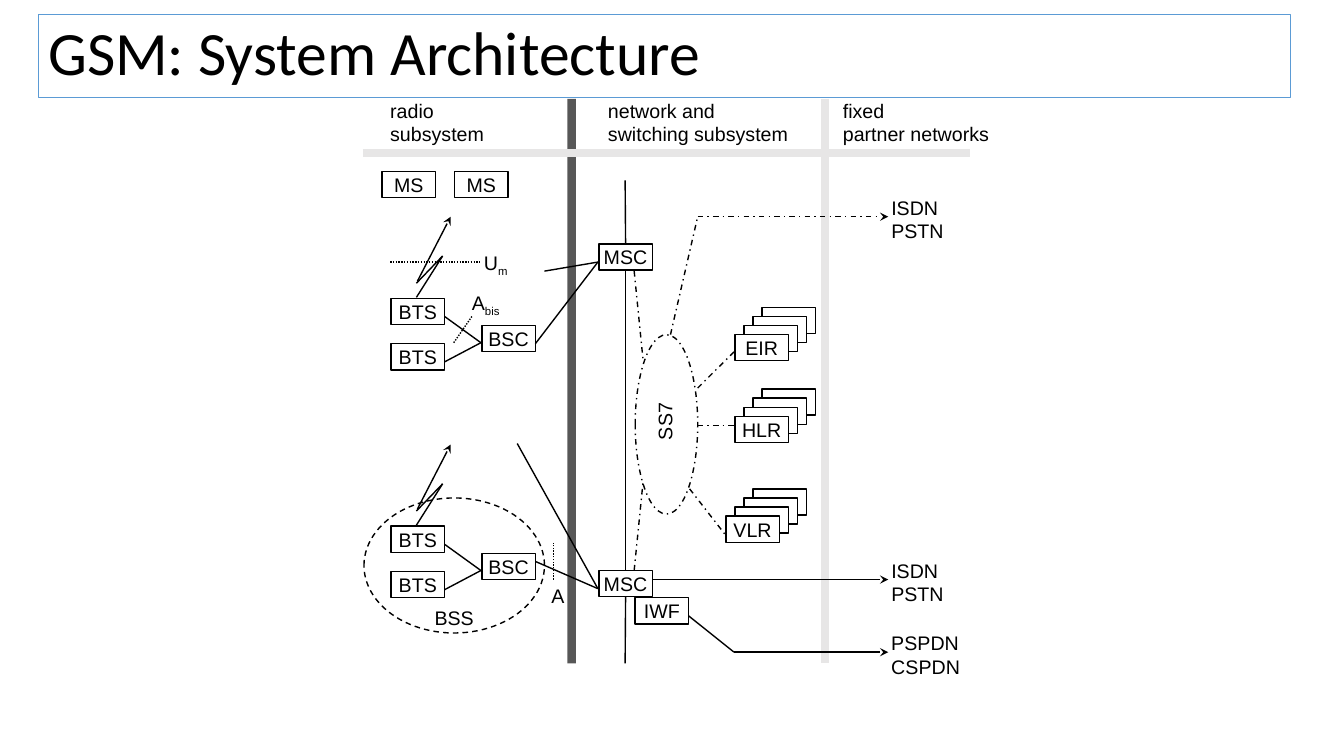
from lxml.etree import SubElement as Sub
from pptx import Presentation
from pptx.dml.color import RGBColor
from pptx.enum.dml import MSO_LINE as Dash
from pptx.enum.shapes import MSO_CONNECTOR as Link, MSO_SHAPE as Kind
from pptx.enum.text import MSO_ANCHOR as Anchor, MSO_AUTO_SIZE as Auto, PP_ALIGN as Align
from pptx.oxml.ns import qn
from pptx.util import Pt

PX = 9144
BLACK, GREY, WHITE, BLUE = "000000", "E7E6E6", "FFFFFF", "5B9BD5"
DOT, MIX = Dash.ROUND_DOT, Dash.DASH_DOT
BOX_W, BOX_H, STEP = 53, 26, 9

TITLE = ("GSM: System Architecture", 38, 14, 1242, 83)
LABELS = [
    ("radio\vsubsystem", 376, 92, 141, 58),
    ("network and switching subsystem", 592, 92, 208, 58),
    ("fixed\vpartner networks", 825, 92, 177, 58),
    ("A", 536, 573, 39, 35),
    ("BSS", 420, 595, 63, 35),
    ("ISDN\vPSTN", 873, 188, 79, 58),
    ("ISDN\vPSTN", 873, 548, 88, 58),
    ("PSPDN\vCSPDN", 873, 620, 97, 58),
]
SUBS = [("U", "m", 469, 243, 70, 35), ("A", "bis", 457, 283, 70, 35)]
SS7 = ("SS7", 623, 394, 72, 35)
BARS = [(360, 152, 738, 152), (818, 98, 818, 658), (584, 152, 962, 152)]
PHONES = [("MS", 379, 170), ("MS", 451, 170)]
CELL_TOPS = [296, 522]
CELL = [("BTS", 388, 0), ("BTS", 388, 45), ("BSC", 478, 27)]
CELL_LINES = [(441, 18, 477, 44), (441, 63, 477, 44),
              (413, -1, 439, -42), (439, -42, 413, -15)]
SIGNAL = (414, -17, 447, -81)
STACKS = [("EIR", 729, 332), ("HLR", 729, 413), ("VLR", 720, 512)]
OVALS = [(361, 494, 179, 134, Dash.DASH), (630, 332, 62, 178, MIX)]
SOLID = [(531, 341, 593, 260), (531, 557, 593, 584), (593, 260, 540, 269),
         (593, 584, 513, 440), (683, 611, 728, 647)]
DOTTED = [(387, 260, 477, 260), (450, 340, 468, 314), (549, 575, 549, 539)]
MIXED = [(629, 269, 638, 359), (629, 566, 638, 476), (692, 385, 728, 349),
         (692, 422, 728, 422), (684, 485, 719, 530), (665, 332, 692, 215)]
ARROWS = [(647, 575, 881, 575, None), (728, 647, 881, 647, None),
          (692, 215, 881, 215, MIX)]

deck = Presentation()
deck.slide_width, deck.slide_height = 1333 * PX, 750 * PX
slide = deck.slides.add_slide(deck.slide_layouts[6])
shapes = slide.shapes


def tint(code):
    return RGBColor.from_string(code)


def emu(*spots):
    return [spot * PX for spot in spots]


def style(para, size=14, face="Arial"):
    for run in para.runs:
        run.font.size, run.font.name = Pt(size), face
        run.font.color.rgb = tint(BLACK)


def pen(line, color=BLACK, width=1, dash=None):
    line.color.rgb, line.width = tint(color), Pt(width)
    if dash:
        line.dash_style = dash


def draw(spots, color=BLACK, width=1, dash=None, head=False):
    link = shapes.add_connector(Link.STRAIGHT, *emu(*spots))
    pen(link.line, color, width, dash)
    if head:
        Sub(link.line._get_or_add_ln(), qn("a:tailEnd"), type="stealth")
    Sub(link._element.spPr, qn("a:effectLst"))
    return link


def form(kind, x, y, w, h, fill=None, dash=None):
    shape = shapes.add_shape(kind, *emu(x, y, w, h))
    shape.shadow.inherit = False
    if fill:
        shape.fill.solid()
        shape.fill.fore_color.rgb = tint(fill)
    else:
        shape.fill.background()
    pen(shape.line, dash=dash)
    return shape


def node(text, x, y, fill=None):
    shape = form(Kind.RECTANGLE, x, y, BOX_W, BOX_H, fill)
    frame = shape.text_frame
    frame.word_wrap, frame.vertical_anchor = False, Anchor.MIDDLE
    if text:
        frame.text = text
        para = frame.paragraphs[0]
        para.alignment = Align.CENTER
        style(para)
    return shape


def label(text, x, y, w, h, sub=None):
    box = shapes.add_textbox(*emu(x, y, w, h))
    frame = box.text_frame
    frame.word_wrap, frame.auto_size = True, Auto.SHAPE_TO_FIT_TEXT
    frame.margin_left = frame.margin_right = 11 * PX
    frame.margin_top = frame.margin_bottom = 6 * PX
    para = frame.paragraphs[0]
    para.text = text
    if sub:
        run = para.add_run()
        run.text = sub
        run.font._element.set("baseline", "-25000")
    style(para)
    return box


def stack(text, x, y):
    for back in (3, 2, 1):
        node("", x + back * STEP, y - back * STEP, WHITE)
    node(text, x, y, WHITE)


def build():
    """Draw the GSM architecture slide and save it."""
    wall = draw((567, 98, 567, 658), BLACK, 6)
    Sub(wall.line._get_or_add_ln().find(".//" + qn("a:srgbClr")), qn("a:alpha"), val="65000")
    for bar in BARS:
        draw(bar, GREY, 6)
    for spec_row in LABELS:
        label(*spec_row)
    for text, low, *area in SUBS:
        label(text, *area, sub=low)
    for *area, dash in OVALS:
        form(Kind.OVAL, *area, dash=dash)
    label(*SS7).rotation = 270
    for phone in PHONES:
        node(*phone)
    for top in CELL_TOPS:
        for x, y, to_x, to_y in CELL_LINES:
            draw((x, top + y, to_x, top + to_y))
        x, y, to_x, to_y = SIGNAL
        draw((x, top + y, to_x, top + to_y), head=True)
        for text, x, y in CELL:
            node(text, x, top + y)
    for group, dash in ((SOLID, None), (DOTTED, DOT), (MIXED, MIX)):
        for spots in group:
            draw(spots, dash=dash)
    for *spots, dash in ARROWS:
        draw(spots, dash=dash, head=True)
    upper, lower = node("MSC", 594, 242), node("MSC", 594, 566)
    node("IWF", 630, 593)
    trunk = draw((620, 268, 620, 566))
    trunk.begin_connect(upper, 2)
    trunk.end_connect(lower, 0)
    draw((620, 242, 620, 179)).begin_connect(upper, 0)
    draw((620, 592, 620, 658)).begin_connect(lower, 2)
    for pile in STACKS:
        stack(*pile)
    text, *area = TITLE
    title = shapes.add_textbox(*emu(*area))
    pen(title.line, BLUE, 0.75)
    frame = title.text_frame
    frame.word_wrap, frame.vertical_anchor = True, Anchor.MIDDLE
    frame.text = text
    para = frame.paragraphs[0]
    para.line_spacing = 0.9
    style(para, 44, "Calibri")
    deck.save("out.pptx")


if __name__ == "__main__":
    build()
